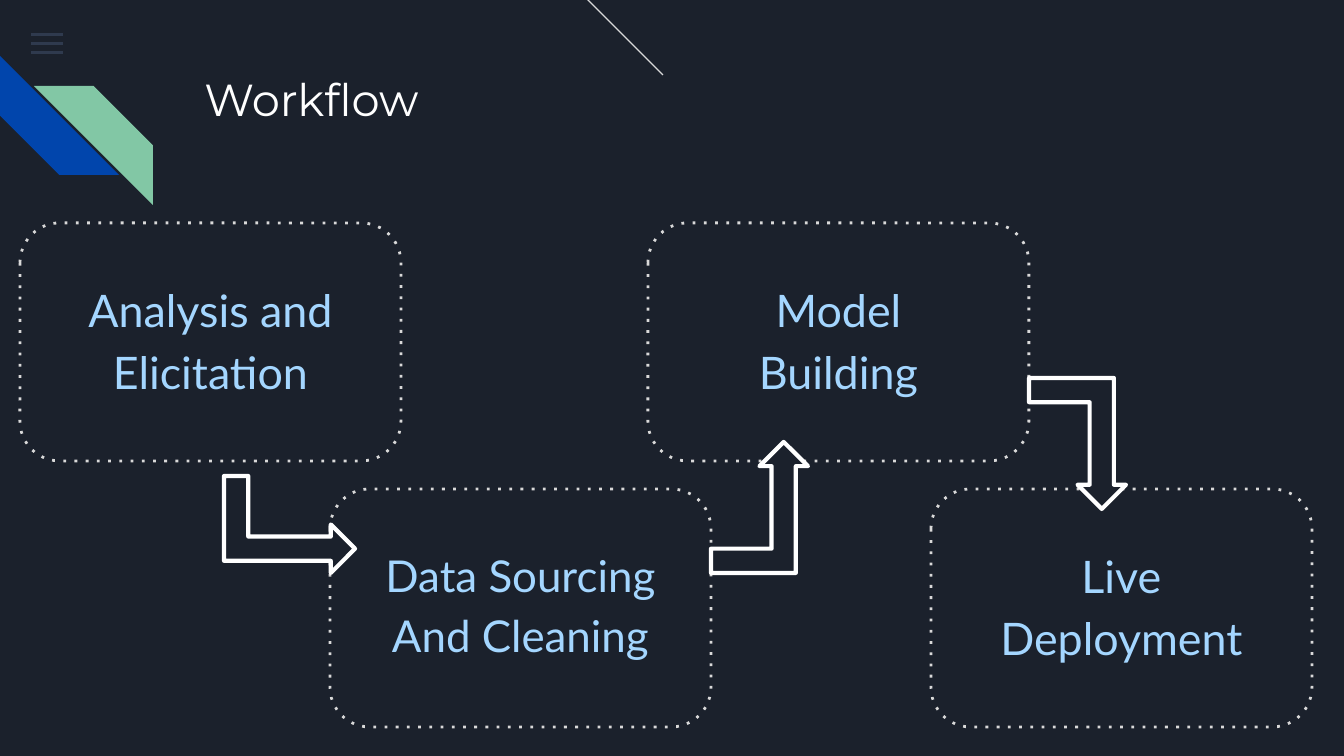
from dataclasses import dataclass

from lxml import etree
from pptx import Presentation
from pptx import util as u
from pptx.dml.color import RGBColor
from pptx.enum import dml, shapes, text
from pptx.oxml.ns import qn

EMU_PER_PX = 914400 / 134.4


@dataclass(frozen=True)
class Theme:
    night: RGBColor = RGBColor.from_string("1B212C")
    white: RGBColor = RGBColor.from_string("FFFFFF")
    border: RGBColor = RGBColor.from_string("D9D9D9")
    sky: RGBColor = RGBColor.from_string("A4D6FF")
    slate: RGBColor = RGBColor.from_string("55688B")
    blue: RGBColor = RGBColor.from_string("0145AC")
    green: RGBColor = RGBColor.from_string("82C7A5")
    heading_font: str = "Montserrat"
    body_font: str = "Lato"
    large: float = 24
    compact: float = 23.5


theme = Theme()


def px(*lengths):
    return [u.Emu(round(length * EMU_PER_PX)) for length in lengths]


def add_preset(parent, kind, frame, fill, line=None, width=0):
    """Add a shadowless preset shape, outlined only when a line colour is given."""
    shape = parent.add_shape(kind, *px(*frame))
    shape.shadow.inherit = False
    shape.fill.solid()
    shape.fill.fore_color.rgb = fill
    if line is None:
        shape.line.fill.background()
    else:
        shape.line.color.rgb = line
        shape.line.width = u.Pt(width)
    return shape


deck = Presentation()
deck.slide_width, deck.slide_height = px(1344, 756)
page = deck.slides.add_slide(deck.slide_layouts[5])
page.background.fill.solid()
page.background.fill.fore_color.rgb = theme.night

# Menu icon
for top in (33, 42, 51):
    bar = add_preset(page.shapes, shapes.MSO_SHAPE.RECTANGLE,
                     (31, top, 32, 3), theme.slate)
    colour = bar.fill._xPr.find(qn("a:solidFill"))[0]
    etree.SubElement(colour, qn("a:alpha")).set("val", "36000")

# Corner stripes
stripes = page.shapes.add_group_shape().shapes
blue_stripe = add_preset(stripes, shapes.MSO_SHAPE.DIAGONAL_STRIPE,
                         (0, 56, 119, 119), theme.blue)
blue_stripe.rotation = 270
green_stripe = add_preset(stripes, shapes.MSO_SHAPE.DIAGONAL_STRIPE,
                          (34, 86, 119, 119), theme.green)
green_stripe._element.spPr.xfrm.set("flipH", "1")

# Title
title = page.shapes.title
title.left, title.top, title.width, title.height = px(191, 58, 558, 219)
frame = title.text_frame
frame.margin_left = frame.margin_right = u.Inches(0.1)
frame.margin_top = frame.margin_bottom = u.Inches(0.1)
frame.vertical_anchor = text.MSO_ANCHOR.TOP
frame.auto_size = text.MSO_AUTO_SIZE.NONE
para = frame.paragraphs[0]
para.alignment = text.PP_ALIGN.LEFT
span = para.add_run()
span.text = "Workflow"
span.font.name = theme.heading_font
span.font.size = u.Pt(theme.large)
span.font.color.rgb = theme.white

# Diagonal accent
accent = page.shapes.add_connector(shapes.MSO_CONNECTOR.STRAIGHT,
                                   *px(474, -114, 663, 75))
accent.line.color.rgb = theme.border
accent.line.width = u.Pt(0.75)
etree.SubElement(accent._element.spPr, qn("a:effectLst"))

# Workflow stages
UPPER, LOWER = 223, 489
stages = [
    (20, UPPER, ["Analysis and Elicitation"], theme.large),
    (330, LOWER, ["Data Sourcing", "And Cleaning"], theme.compact),
    (648, UPPER, ["Model Building"], theme.large),
    (931, LOWER, ["Live Deployment"], theme.large),
]
for left, top, lines, size in stages:
    stage = page.shapes.add_group_shape().shapes
    card = add_preset(stage, shapes.MSO_SHAPE.ROUNDED_RECTANGLE,
                      (left, top, 381, 238), theme.night, theme.border, 1.5)
    card.line.dash_style = dml.MSO_LINE.ROUND_DOT
    card.line._ln.find(qn("a:prstDash")).set("val", "dot")
    box = stage.add_textbox(*px(left + 36, top + 38, 309, 161))
    frame = box.text_frame
    frame.word_wrap = True
    frame.margin_left = frame.margin_right = u.Inches(0.1)
    frame.margin_top = frame.margin_bottom = u.Inches(0.1)
    for index, line in enumerate(lines):
        para = frame.add_paragraph() if index else frame.paragraphs[0]
        para.alignment = text.PP_ALIGN.CENTER
        para.line_spacing = 1.15
        span = para.add_run()
        span.text = line
        span.font.name = theme.body_font
        span.font.size = u.Pt(size)
        span.font.color.rgb = theme.sky

# Bent arrows between stages
for left, top, turn, flipped in [(711, 442, 0, False),
                                 (241, 459, 90, False),
                                 (1029, 378, 180, True)]:
    arrow = add_preset(page.shapes, shapes.MSO_SHAPE.BENT_UP_ARROW,
                       (left, top, 97, 131), theme.night, theme.white, 2.25)
    arrow.rotation = turn
    if flipped:
        arrow._element.spPr.xfrm.set("flipH", "1")

deck.save("out.pptx")
